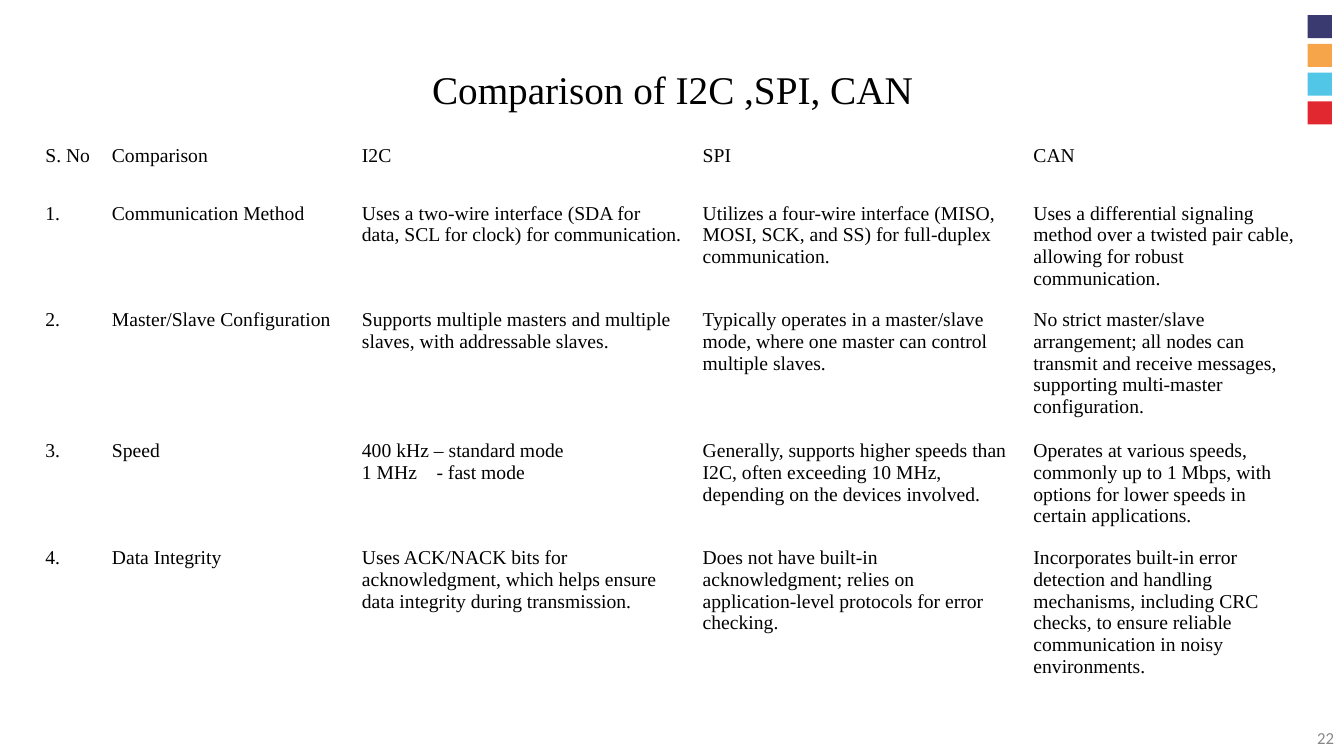
from lxml import etree
from pptx import Presentation
from pptx.dml.color import RGBColor
from pptx.enum.shapes import MSO_SHAPE
from pptx.enum.text import MSO_ANCHOR, MSO_AUTO_SIZE, PP_ALIGN
from pptx.oxml.ns import qn
from pptx.util import Inches, Pt

RECT = MSO_SHAPE.RECTANGLE
BOTTOM, MIDDLE = MSO_ANCHOR.BOTTOM, MSO_ANCHOR.MIDDLE
CENTER, RIGHT = PP_ALIGN.CENTER, PP_ALIGN.RIGHT
NO_AUTOFIT = MSO_AUTO_SIZE.NONE
TITLE_ONLY = 5

SERIF = "Times New Roman"
SWATCHES = ["3A3A70", "F7A54B", "51C6E7", "E12730"]
SWATCH_PITCH = 0.285
COL_WIDTHS = [0.66, 2.48, 3.38, 3.28, 2.82]
ROW_HEIGHTS = [0.57, 1.06, 1.3, 1.06, 1.54]
SPEED_TAB = 0.74

ROWS = [
    ["S. No", "Comparison", "I2C", "SPI", "CAN"],
    ["1.", "Communication Method",
     "Uses a two-wire interface (SDA for data, SCL for clock) for communication.",
     "Utilizes a four-wire interface (MISO, MOSI, SCK, and SS) for full-duplex "
     "communication.",
     "Uses a differential signaling method over a twisted pair cable, allowing "
     "for robust communication."],
    ["2.", "Master/Slave Configuration",
     "Supports multiple masters and multiple slaves, with addressable slaves.",
     "Typically operates in a master/slave mode, where one master can control "
     "multiple slaves.",
     "No strict master/slave arrangement; all nodes can transmit and receive "
     "messages, supporting multi-master configuration."],
    ["3.", "Speed",
     "400 kHz – standard mode\n1 MHz\t- fast mode",
     "Generally, supports higher speeds than I2C, often exceeding 10 MHz, "
     "depending on the devices involved.",
     "Operates at various speeds, commonly up to 1 Mbps, with options for lower "
     "speeds in certain applications."],
    ["4.", "Data Integrity",
     "Uses ACK/NACK bits for acknowledgment, which helps ensure data integrity "
     "during transmission.",
     "Does not have built-in acknowledgment; relies on application-level "
     "protocols for error checking.",
     "Incorporates built-in error detection and handling mechanisms, including "
     "CRC checks, to ensure reliable communication in noisy environments."],
]


def rgb(value):
    return RGBColor.from_string(value)


def box(left, top, width, height):
    return [Inches(v) for v in (left, top, width, height)]


def style_font(p, name, size, color="000000"):
    p.font.name = name
    p.font.size = Pt(size)
    p.font.color.rgb = rgb(color)


def add_tab_stop(p, position):
    tabs = etree.SubElement(p._p.get_or_add_pPr(), qn("a:tabLst"))
    etree.SubElement(tabs, qn("a:tab"), pos=str(Inches(position)), algn="l")


def add_swatches(slide):
    for i, color in enumerate(SWATCHES):
        sp = slide.shapes.add_shape(
            RECT, *box(12.97, 0.15 + i * SWATCH_PITCH, 0.24, 0.23))
        sp.shadow.inherit = False
        sp.fill.solid()
        sp.fill.fore_color.rgb = rgb(color)
        sp.line.fill.background()


def set_title(slide, text):
    sp = slide.shapes.title
    sp.left, sp.top, sp.width, sp.height = box(1.67, 0.47, 10, 0.7)
    tf = sp.text_frame
    tf.text = text
    tf.auto_size = NO_AUTOFIT
    tf.vertical_anchor = BOTTOM
    p = tf.paragraphs[0]
    p.alignment = CENTER
    p.line_spacing = 0.9
    style_font(p, SERIF, 28)


def add_page_number(slide, number):
    tf = slide.shapes.add_textbox(*box(10.33, 7.12, 3, 0.4)).text_frame
    tf.word_wrap = True
    tf.vertical_anchor = MIDDLE
    p = tf.paragraphs[0]
    p.text = number
    p.alignment = RIGHT
    style_font(p, "Calibri", 12, "888888")


def fill_cell(cell, text):
    cell.fill.solid()
    cell.fill.fore_color.rgb = rgb("FFFFFF")
    cell.text = text
    for p in cell.text_frame.paragraphs:
        if "\t" in p.text:
            add_tab_stop(p, SPEED_TAB)
        style_font(p, SERIF, 14)


def add_comparison_table(slide):
    frame = slide.shapes.add_table(
        len(ROWS), len(COL_WIDTHS),
        *box(0.35, 1.39, sum(COL_WIDTHS), sum(ROW_HEIGHTS)))
    table = frame.table
    table.first_row = False
    table.horz_banding = False
    for column, width in zip(table.columns, COL_WIDTHS):
        column.width = Inches(width)
    for row, height, texts in zip(table.rows, ROW_HEIGHTS, ROWS):
        row.height = Inches(height)
        for cell, text in zip(row.cells, texts):
            fill_cell(cell, text)


def main():
    prs = Presentation()
    prs.slide_width, prs.slide_height = Inches(13.33), Inches(7.5)
    slide = prs.slides.add_slide(prs.slide_layouts[TITLE_ONLY])

    # Corner colours and heading
    add_swatches(slide)
    set_title(slide, "Comparison of I2C ,SPI, CAN")

    # Footer and body
    add_page_number(slide, "22")
    add_comparison_table(slide)

    prs.save("out.pptx")


if __name__ == "__main__":
    main()
